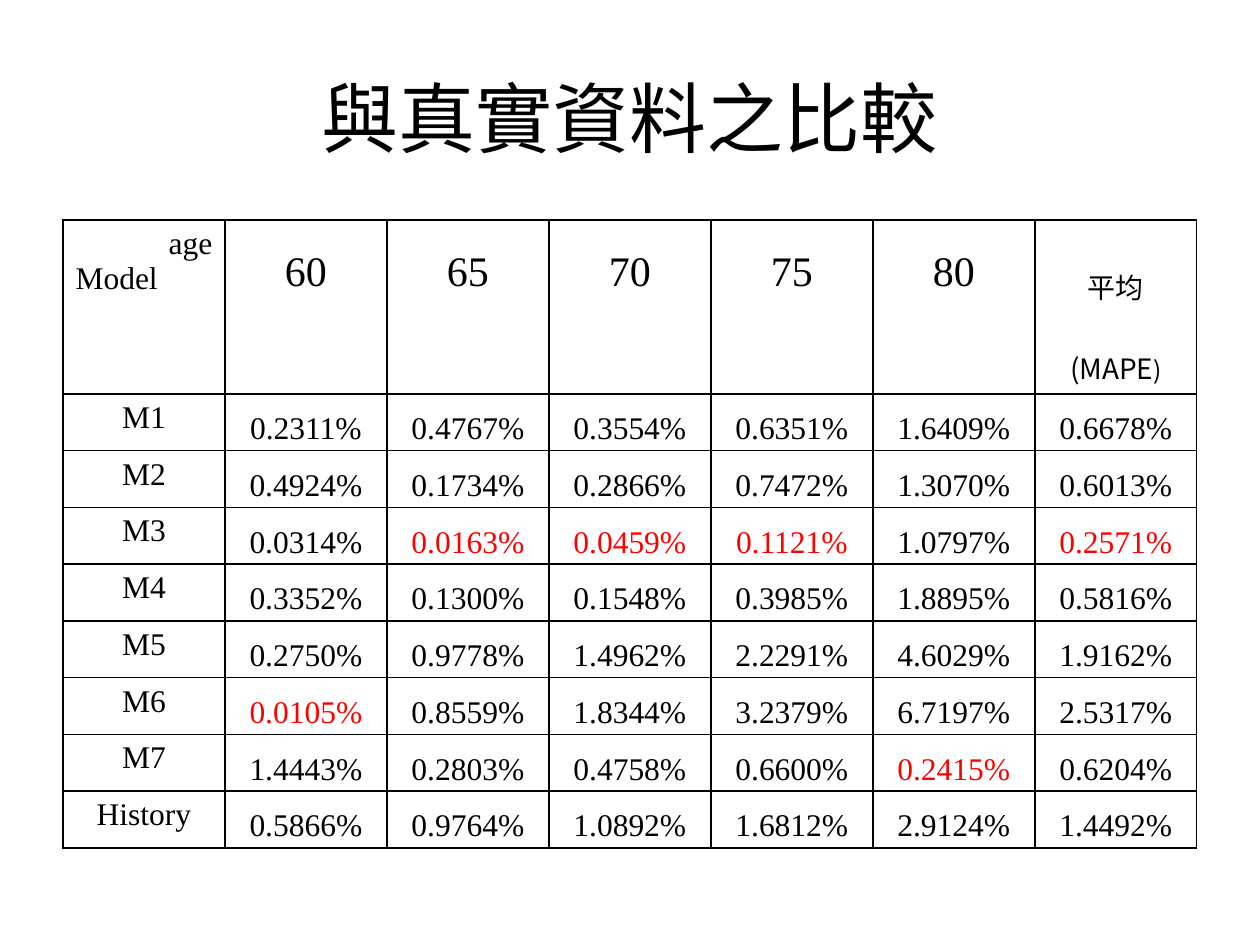
from lxml import etree
from pptx import Presentation
from pptx.dml.color import RGBColor
from pptx.enum.text import MSO_ANCHOR, PP_ALIGN
from pptx.oxml.ns import qn
from pptx.util import Pt

LEFT, CENTER, RIGHT = PP_ALIGN.LEFT, PP_ALIGN.CENTER, PP_ALIGN.RIGHT
TOP, MIDDLE = MSO_ANCHOR.TOP, MSO_ANCHOR.MIDDLE
SCALE = 914400 / 126  # EMU per px


class Theme:
    black, red, white = "000000", "FF0000", "FFFFFF"
    serif, cjk = "Times New Roman", "Noto Sans CJK SC"
    title, age, body, average, bracket = 44, 24, 18, 16, 14
    border = 1


def px(n):
    return round(n * SCALE)


def add_text(tf, text, first=True, same=False, align=CENTER, spacing=None,
             size=Theme.body, font=Theme.serif, color=Theme.black):
    """Write text in the first paragraph, a new one, or the last one (same)."""
    p = tf.paragraphs[-1] if first or same else tf.add_paragraph()
    p.alignment = align
    if spacing:
        p.line_spacing = spacing
    r = p.add_run()
    r.text = text
    r.font.size, r.font.name = Pt(size), font
    r.font.color.rgb = RGBColor.from_string(color)
    etree.SubElement(r._r.get_or_add_rPr(), qn("a:ea"), typeface=font)


prs = Presentation()
prs.slide_width, prs.slide_height = px(1260), px(945)
s = prs.slides.add_slide(prs.slide_layouts[6])

# Title
tf = s.shapes.add_textbox(px(63), px(38), px(1134), px(157)).text_frame
tf.word_wrap = True
tf.vertical_anchor = MIDDLE
add_text(tf, "與真實資料之比較", size=Theme.title, font=Theme.cjk)

# Errors by model and age, the last column being the average
ages = ["60", "65", "70", "75", "80"]
errors = [
    ("M1", "0.2311%", "0.4767%", "0.3554%", "0.6351%", "1.6409%", "0.6678%"),
    ("M2", "0.4924%", "0.1734%", "0.2866%", "0.7472%", "1.3070%", "0.6013%"),
    ("M3", "0.0314%", "0.0163%", "0.0459%", "0.1121%", "1.0797%", "0.2571%"),
    ("M4", "0.3352%", "0.1300%", "0.1548%", "0.3985%", "1.8895%", "0.5816%"),
    ("M5", "0.2750%", "0.9778%", "1.4962%", "2.2291%", "4.6029%", "1.9162%"),
    ("M6", "0.0105%", "0.8559%", "1.8344%", "3.2379%", "6.7197%", "2.5317%"),
    ("M7", "1.4443%", "0.2803%", "0.4758%", "0.6600%", "0.2415%", "0.6204%"),
    ("History", "0.5866%", "0.9764%", "1.0892%", "1.6812%", "2.9124%", "1.4492%"),
]
best = [min(column, key=lambda v: float(v.rstrip("%")))
        for column in list(zip(*errors))[1:]]

# Table grid
header_h, row_h, col_w = 174, 52, 162
rows, cols = len(errors) + 1, len(ages) + 2
table = s.shapes.add_table(rows, cols, px(63), px(220), px(cols * col_w),
                           px(header_h + len(errors) * row_h)).table
table.first_row = table.horz_banding = False
for column in table.columns:
    column.width = px(col_w)
for i, row in enumerate(table.rows):
    row.height = px(row_h if i else header_h)

# Cell borders and fill
for cell in table.iter_cells():
    cell.vertical_anchor = TOP
    tcPr = cell._tc.get_or_add_tcPr()
    for side in ("a:lnL", "a:lnR", "a:lnT", "a:lnB"):
        ln = etree.SubElement(tcPr, qn(side), w=str(Pt(Theme.border)))
        fill = etree.SubElement(ln, qn("a:solidFill"))
        etree.SubElement(fill, qn("a:srgbClr"), val=Theme.black)
    cell.fill.solid()
    cell.fill.fore_color.rgb = RGBColor.from_string(Theme.white)

# Header row
tf = table.cell(0, 0).text_frame
add_text(tf, "age", align=RIGHT)
add_text(tf, "Model", first=False, align=LEFT)
for j, age in enumerate(ages, 1):
    add_text(table.cell(0, j).text_frame, age, spacing=1.5, size=Theme.age)
tf = table.cell(0, cols - 1).text_frame
add_text(tf, "平均(MAPE", spacing=2.0, size=Theme.average, font=Theme.cjk)
add_text(tf, ")", same=True, spacing=2.0, size=Theme.bracket, font=Theme.cjk)

# Model rows, the smallest error of each column in red
for i, (model, *values) in enumerate(errors, 1):
    add_text(table.cell(i, 0).text_frame, model)
    for j, value in enumerate(values, 1):
        cell = table.cell(i, j)
        cell.margin_left = cell.margin_right = px(9)
        cell.margin_top = cell.margin_bottom = 0
        add_text(cell.text_frame, value, spacing=1.5,
                 color=Theme.red if value == best[j - 1] else Theme.black)

prs.save("out.pptx")
